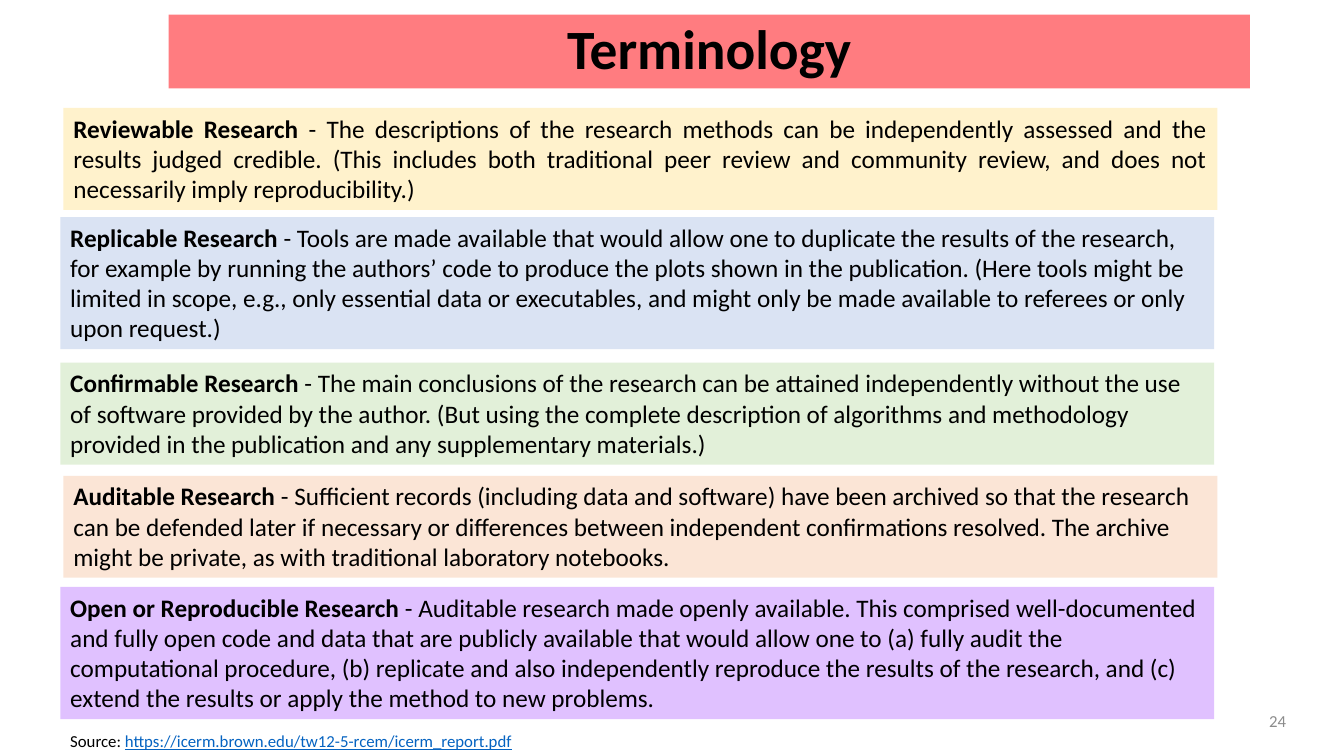
from dataclasses import dataclass

from pptx import Presentation
from pptx.dml.color import RGBColor
from pptx.enum.text import MSO_ANCHOR, PP_ALIGN
from pptx.util import Cm, Pt


@dataclass(frozen=True)
class Theme:
    """Colours, font and type sizes of the slide."""
    font: str = "Calibri"
    ink: str = "000000"
    muted: str = "8C8C8C"
    link: str = "0563C1"
    banner: str = "FF7C80"
    yellow: str = "FFF2CC"
    blue: str = "DAE3F3"
    green: str = "E2F0D9"
    orange: str = "FBE5D6"
    purple: str = "E0C1FF"
    title_size: float = 39.6
    body_size: float = 18
    small_size: float = 12


THEME = Theme()
WIDTH, HEIGHT = 33.87, 19.05
TEXT_WIDTH = 29.08
LEFT, INDENTED = 1.52, 1.6
THREE_LINES, FOUR_LINES = 2.57, 3.33

DEFINITIONS = [
    ("Reviewable Research",
     " - The descriptions of the research methods can be independently assessed and the "
     "results judged credible. (This includes both traditional peer review and community "
     "review, and does not necessarily imply reproducibility.)",
     THEME.yellow, (INDENTED, 2.72, TEXT_WIDTH, THREE_LINES), PP_ALIGN.JUSTIFY),
    ("Replicable Research",
     " - Tools are made available that would allow one to duplicate the results of the "
     "research, for example by running the authors’ code to produce the plots shown in the "
     "publication. (Here tools might be limited in scope, e.g., only essential data or "
     "executables, and might only be made available to referees or only upon request.)",
     THEME.blue, (LEFT, 5.47, TEXT_WIDTH, FOUR_LINES), PP_ALIGN.LEFT),
    ("Confirmable Research",
     " - The main conclusions of the research can be attained independently without the use "
     "of software provided by the author. (But using the complete description of algorithms "
     "and methodology provided in the publication and any supplementary materials.)",
     THEME.green, (LEFT, 9.14, TEXT_WIDTH, THREE_LINES), PP_ALIGN.LEFT),
    ("Auditable Research",
     " - Sufficient records (including data and software) have been archived so that the "
     "research can be defended later if necessary or differences between independent "
     "confirmations resolved. The archive might be private, as with traditional laboratory "
     "notebooks.",
     THEME.orange, (INDENTED, 11.99, TEXT_WIDTH, THREE_LINES), PP_ALIGN.LEFT),
    ("Open or Reproducible Research",
     " - Auditable research made openly available. This comprised well-documented and fully "
     "open code and data that are publicly available that would allow one to (a) fully audit "
     "the computational procedure, (b) replicate and also independently reproduce the results "
     "of the research, and (c) extend the results or apply the method to new problems.",
     THEME.purple, (LEFT, 14.79, TEXT_WIDTH, FOUR_LINES), PP_ALIGN.LEFT),
]


def add_text(slide, box, size, color=THEME.ink, fill=None,
             align=PP_ALIGN.LEFT, anchor=MSO_ANCHOR.TOP):
    """Add a wrapped text box and return its styled, empty paragraph."""
    panel = slide.shapes.add_textbox(*map(Cm, box))
    if fill:
        panel.fill.solid()
        panel.fill.fore_color.rgb = RGBColor.from_string(fill)
    panel.text_frame.word_wrap = True
    panel.text_frame.vertical_anchor = anchor
    paragraph = panel.text_frame.paragraphs[0]
    paragraph.alignment = align
    paragraph.font.name = THEME.font
    paragraph.font.size = Pt(size)
    paragraph.font.color.rgb = RGBColor.from_string(color)
    return paragraph


def add_run(paragraph, text):
    """Append a run and return its font."""
    run = paragraph.add_run()
    run.text = text
    return run.font


def add_title(slide, box):
    """Add the heading banner."""
    heading = add_text(slide, box, THEME.title_size, fill=THEME.banner,
                       align=PP_ALIGN.CENTER, anchor=MSO_ANCHOR.MIDDLE)
    heading.line_spacing = 0.9
    heading.font.bold = True
    add_run(heading, "Terminology")


def add_page_number(slide, box):
    """Add the page number at the lower right."""
    number = add_text(slide, box, THEME.small_size, THEME.muted,
                      align=PP_ALIGN.RIGHT, anchor=MSO_ANCHOR.MIDDLE)
    add_run(number, "24")


def add_definition(slide, box, term, meaning, fill, align):
    """Add a coloured panel with a bold term and its meaning."""
    definition = add_text(slide, box, THEME.body_size, fill=fill, align=align)
    add_run(definition, term).bold = True
    add_run(definition, meaning)


def add_source(slide, box):
    """Add the source line with its underlined address."""
    source = add_text(slide, box, THEME.small_size)
    add_run(source, "Source: ")
    address = add_run(source, "https://icerm.brown.edu/tw12-5-rcem/icerm_report.pdf")
    address.underline = True
    address.color.rgb = RGBColor.from_string(THEME.link)


def main():
    """Build and save the terminology slide."""
    deck = Presentation()
    deck.slide_width, deck.slide_height = Cm(WIDTH), Cm(HEIGHT)
    slide = deck.slides.add_slide(deck.slide_layouts[6])
    add_title(slide, (4.25, 0.37, 27.25, 1.86))
    add_page_number(slide, (25.04, 17.66, 7.62, 1.01))
    for term, meaning, fill, box, align in DEFINITIONS:
        add_definition(slide, box, term, meaning, fill, align)
    add_source(slide, (LEFT, 18.29, 12.07, 0.76))
    deck.save("out.pptx")


if __name__ == "__main__":
    main()
